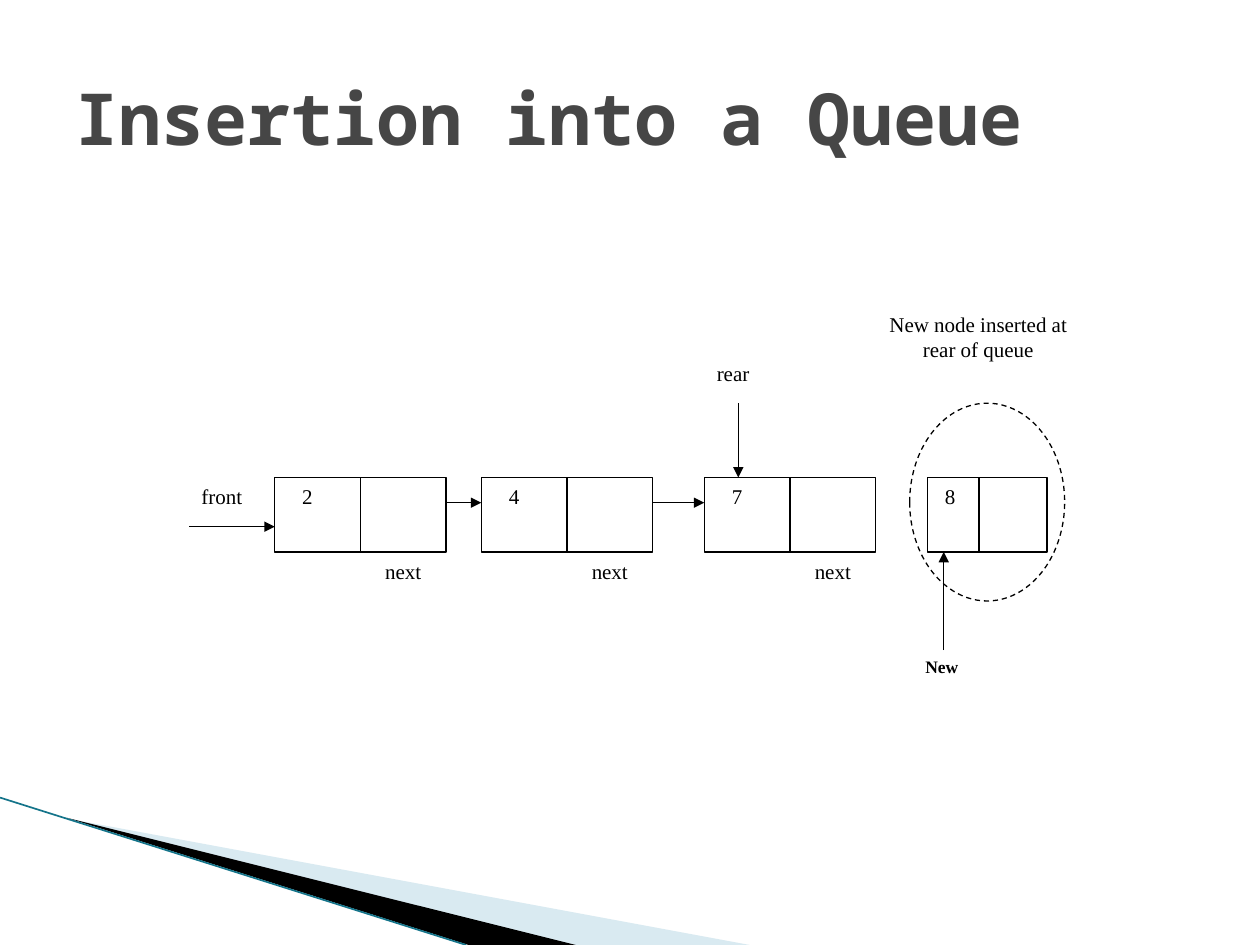
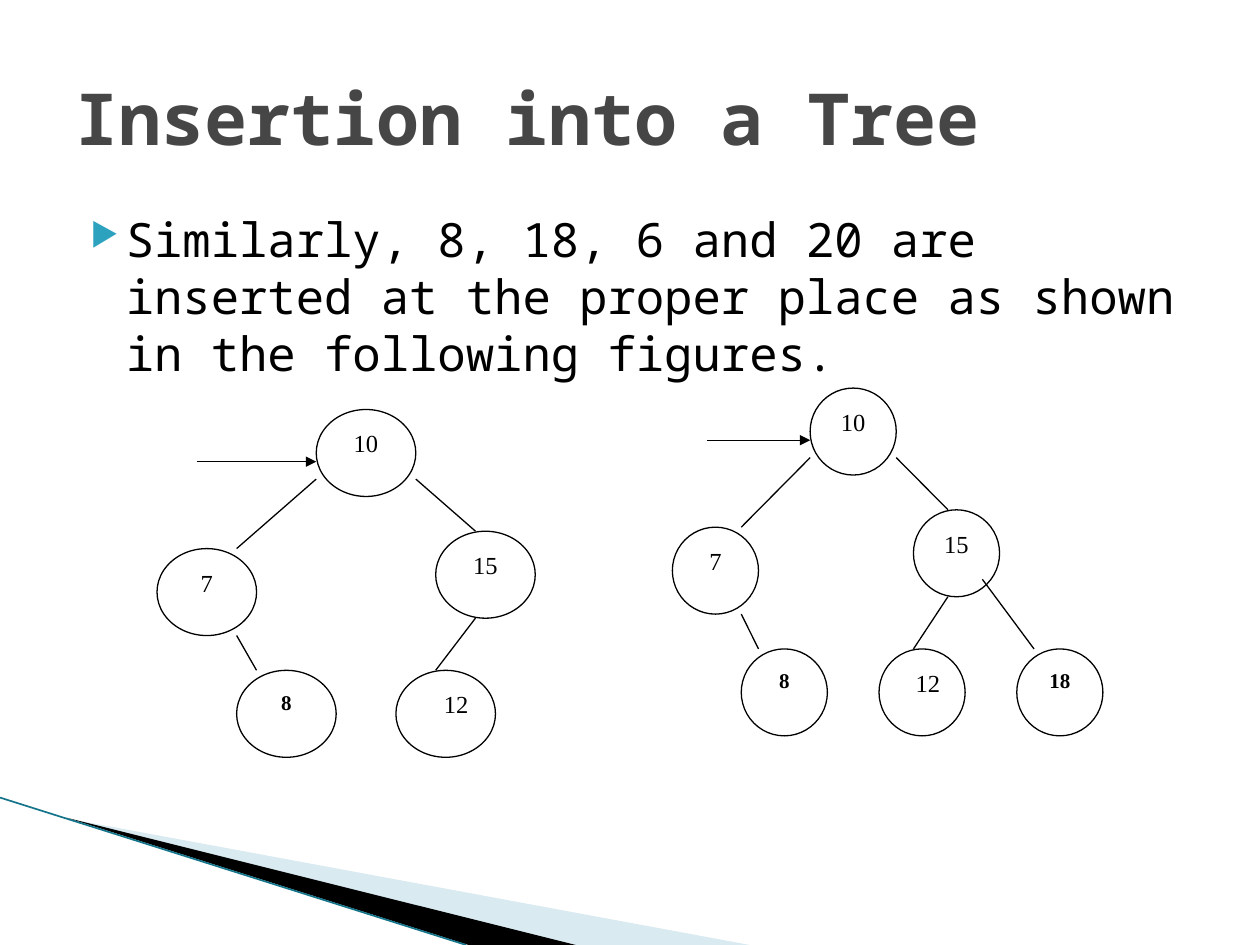
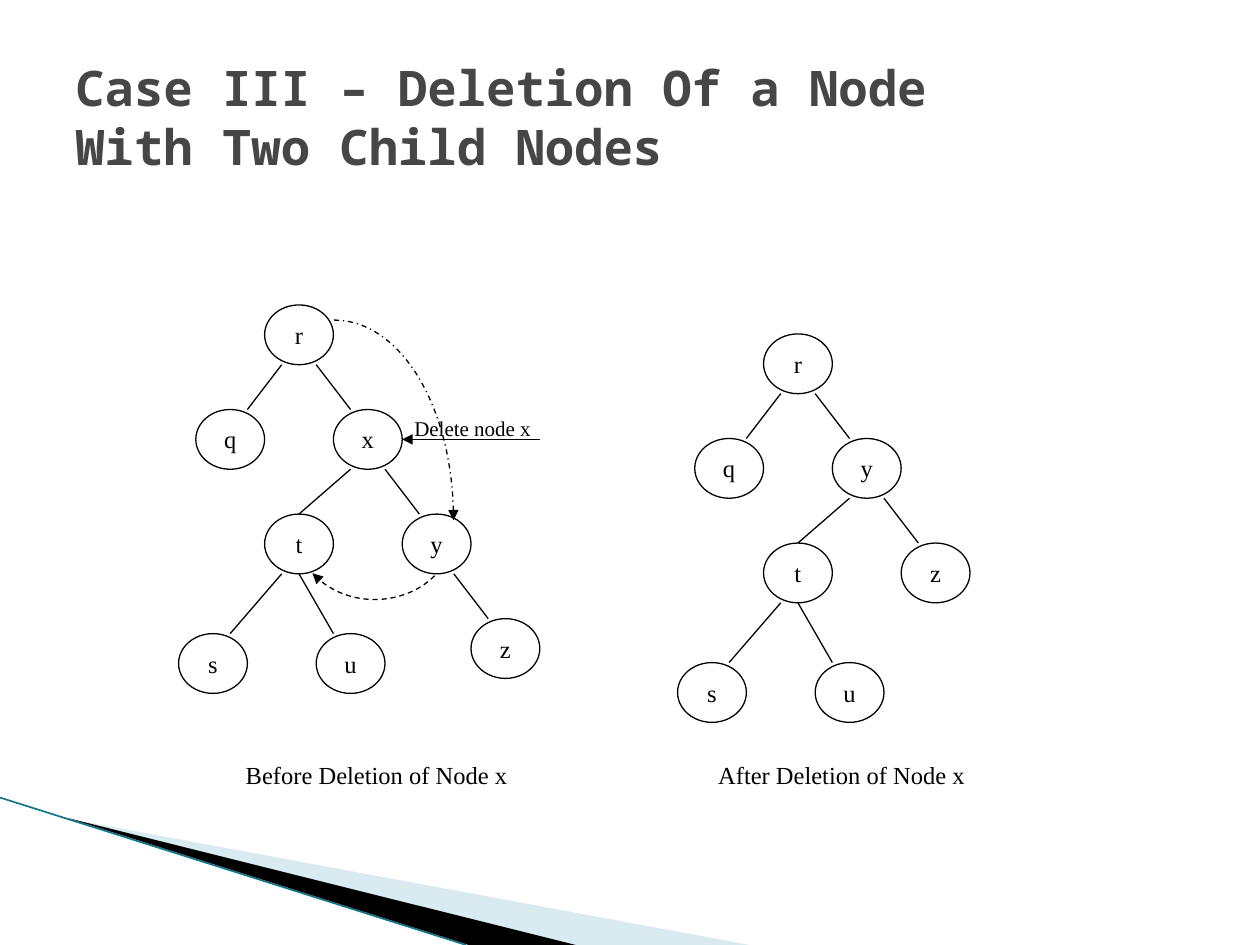
from dataclasses import dataclass
from typing import Optional

from lxml.etree import SubElement
from pptx import Presentation
from pptx.dml.color import RGBColor
from pptx.enum.dml import MSO_LINE
from pptx.enum.shapes import MSO_CONNECTOR, MSO_SHAPE
from pptx.enum.text import MSO_ANCHOR, PP_ALIGN
from pptx.oxml.ns import qn
from pptx.util import Inches, Pt

HEX = {"ink": "000000", "paper": "FFFFFF", "title": "464646",
       "bullet": "2DA2BF", "pale": "A0CBDC", "edge": "14748A"}
MONO, SERIF = "Noto Sans Mono", "Times New Roman"
LEFT, MID, RIGHT = PP_ALIGN.LEFT, PP_ALIGN.CENTER, PP_ALIGN.RIGHT
Point = tuple[float, float]


@dataclass
class Style:
    """Look of one piece of text."""
    size: float
    name: str = SERIF
    bold: bool = False
    color: str = "ink"
    align: PP_ALIGN = MID


@dataclass
class Grid:
    """Origin and step of a tree's grid; a node spans cell by cell steps."""
    x: float
    y: float
    dx: float
    dy: float
    cell: int

    def at(self, col: float, row: float) -> Point:
        """Turn grid steps into inches."""
        return self.x + col * self.dx, self.y + row * self.dy


@dataclass
class Node:
    """One round node, placed in grid steps."""
    text: str
    col: int
    row: int
    style: Style


@dataclass
class Link:
    """One line between two points."""
    start: Point
    end: Point
    arrow: bool = False


SMALL, BODY = Style(12), Style(14)
NOTE = Style(12, align=LEFT)
BOLD = Style(12, bold=True)


def rgb(key: str) -> RGBColor:
    """Look up a colour."""
    return RGBColor.from_string(HEX[key])


def write(shape, text: str, style: Style, anchor=MSO_ANCHOR.TOP):
    """Put styled text in a shape and return its paragraph."""
    frame = shape.text_frame
    for key, value in {"word_wrap": True, "vertical_anchor": anchor}.items():
        setattr(frame, key, value)
    para = frame.paragraphs[0]
    para.text, para.alignment = text, style.align
    for run in para.runs:
        form = {"size": Pt(style.size), "name": style.name, "bold": style.bold}
        for key, value in form.items():
            setattr(run.font, key, value)
        run.font.color.rgb = rgb(style.color)
    return para


def stroke(line, color: str = "ink", width: float = 0.75, dash=None) -> None:
    """Set the colour, width and dash of a line."""
    line.color.rgb = rgb(color)
    line.width = Pt(width)
    if dash:
        line.dash_style = dash


def point(line) -> None:
    """Add an arrowhead to the end of a line."""
    SubElement(line._get_or_add_ln(), qn("a:tailEnd"), type="triangle")


def join(slide, link: Link, color: str = "ink", width: float = 0.75) -> None:
    """Draw a straight line or arrow."""
    ends = [Inches(v) for v in link.start + link.end]
    wire = slide.shapes.add_connector(MSO_CONNECTOR.STRAIGHT, *ends)
    stroke(wire.line, color, width)
    if link.arrow:
        point(wire.line)
    SubElement(wire._element.spPr, qn("a:effectLst"))


def block(slide, kind, box: tuple, text: str = "",
          style: Style = SMALL, edge: bool = False, dash=None):
    """Draw a white shape and return its paragraph."""
    shape = slide.shapes.add_shape(kind, *map(Inches, box))
    shape.shadow.inherit = False
    shape.fill.solid()
    shape.fill.fore_color.rgb = rgb("paper")
    if edge:
        stroke(shape.line, dash=dash)
    else:
        shape.line.fill.background()
    return write(shape, text, style)


def label(slide, box: tuple, text: str, style: Style = SMALL) -> None:
    """Draw a caption without an outline."""
    block(slide, MSO_SHAPE.RECTANGLE, box, text, style)


def outline(slide, points: list[Point], close: bool):
    """Draw a freeform through points."""
    start, *rest = [(Inches(x), Inches(y)) for x, y in points]
    build = slide.shapes.build_freeform(*start)
    build.add_line_segments(rest, close=close)
    shape = build.convert_to_shape()
    shape.shadow.inherit = False
    return shape


def wedge(slide, points: list[Point], color: str,
          alpha: Optional[int] = None) -> None:
    """Draw one filled wedge of the corner band."""
    shape = outline(slide, points, True)
    shape.line.fill.background()
    shape.fill.solid()
    shape.fill.fore_color.rgb = rgb(color)
    if alpha:
        tint = shape._element.spPr.find(".//" + qn("a:srgbClr"))
        SubElement(tint, qn("a:alpha"), val=str(alpha * 1000))


def curve(slide, ends: list[Point], dash) -> None:
    """Draw a dashed curved arrow from four Bezier points."""
    steps = 32
    points = []
    for t in (i / steps for i in range(steps + 1)):
        parts = ((1 - t) ** 3, 3 * t * (1 - t) ** 2, 3 * t * t * (1 - t), t ** 3)
        points.append((sum(p * x for p, (x, _) in zip(parts, ends)),
                       sum(p * y for p, (_, y) in zip(parts, ends))))
    shape = outline(slide, points, False)
    shape.fill.background()
    stroke(shape.line, dash=dash)
    point(shape.line)


def tree(slide, grid: Grid, nodes: list[Node], links: list[Link]) -> None:
    """Draw the nodes of a tree, then its links."""
    size = (grid.cell * grid.dx, grid.cell * grid.dy)
    for node in nodes:
        box = grid.at(node.col, node.row) + size
        block(slide, MSO_SHAPE.OVAL, box, node.text, node.style, True)
    for link in links:
        join(slide, Link(grid.at(*link.start), grid.at(*link.end), link.arrow))


def page(deck, title: str, size: float = 41):
    """Add a slide with the corner band and a title."""
    slide = deck.slides.add_slide(deck.slide_layouts[6])
    wedge(slide, [(0.55, 6.5), (5.95, 7.5), (4.56, 7.5)], "pale", 40)
    wedge(slide, [(0.53, 6.49), (4.57, 7.5), (3.72, 7.5)], "ink")
    join(slide, Link((0, 6.33), (3.7, 7.5)), "edge", 0.95)
    box = slide.shapes.add_textbox(*map(Inches, (0.5, 0.3, 9, 1.25)))
    write(box, title, Style(size, MONO, True, "title", LEFT), MSO_ANCHOR.MIDDLE)
    return slide


def bullet(slide, box: tuple, text: str) -> None:
    """Add one body paragraph with a triangle bullet."""
    shape = slide.shapes.add_textbox(*map(Inches, box))
    para = write(shape, text, Style(27, MONO, align=LEFT))
    para.space_before = Pt(4)
    props = para._p.get_or_add_pPr()
    props.set("marL", str(Inches(0.4)))
    props.set("indent", str(Inches(-0.28)))
    tint = SubElement(props, qn("a:buClr"))
    SubElement(tint, qn("a:srgbClr"), val=HEX["bullet"])
    SubElement(props, qn("a:buSzPct"), val="68000")
    SubElement(props, qn("a:buChar"), char="\u25b6")


def cell(slide, x: float, wide: float, split: float, text: str,
         indent: float) -> None:
    """Draw a queue node with a value part and a link part."""
    para = block(slide, MSO_SHAPE.RECTANGLE, (x, TOP, wide, BASE - TOP), text,
                 NOTE, True)
    para._p.get_or_add_pPr().set("marL", str(Inches(indent)))
    join(slide, Link((x + split, TOP), (x + split, BASE)))


deck = Presentation()
deck.slide_width, deck.slide_height = Inches(10), Inches(7.5)

# Queue
TOP, BASE, WIDE, HALF = 3.79, 4.38, 1.36, 0.68
queue = page(deck, "Insertion into a Queue")
label(queue, (6.95, 2.42, 1.63, 0.98), "New node inserted at rear of queue")
block(queue, MSO_SHAPE.OVAL, (7.22, 3.2, 1.23, 1.57), edge=True,
      dash=MSO_LINE.DASH)
label(queue, (5.59, 2.81, HALF, 0.39), "rear", NOTE)
label(queue, (1.5, TOP, HALF, 0.39), "front", NOTE)
for x, text in ((2.18, "2"), (3.82, "4"), (5.59, "7")):
    label(queue, (x + HALF, BASE, HALF, 0.39), "next")
    cell(queue, x, WIDE, HALF, text, 0.12)
cell(queue, 7.36, 0.95, 0.41, "8", 0.04)
label(queue, (6.95, 5.16, 1.05, 0.59), "New", Style(10, bold=True))
for start, end in (((1.5, 4.18), (2.18, 4.18)), ((5.86, 3.2), (5.86, TOP)),
                   ((3.54, 3.99), (3.82, 3.99)), ((5.18, 3.99), (5.59, 3.99)),
                   ((7.49, 5.16), (7.49, BASE))):
    join(queue, Link(start, end, True))

# Tree insertion
grow = page(deck, "Insertion into a Tree")
bullet(grow, (0.5, 1.62, 9, 4.95), "Similarly, 8, 18, 6 and 20 are inserted "
       "at the proper place as shown in the following figures.")
nodes = [Node("10", 0, 0, BODY), Node("15", 6, 7, BODY),
         Node("12", 4, 15, Style(14, align=RIGHT)),
         Node("7", -8, 8, BODY), Node("8", -4, 15, BOLD)]
links = [Link((-6, 3), (0, 3), True), Link((5, 4), (8, 7)),
         Link((0, 4), (-4, 8)), Link((8, 12), (6, 15)),
         Link((-4, 13), (-3, 15))]
tree(grow, Grid(2.51, 3.25, 0.79 / 5, 0.69 / 5, 5), nodes, links)
tree(grow, Grid(6.43, 3.08, 0.41 / 3, 0.69 / 5, 5),
     nodes + [Node("18", 12, 15, BOLD)], links + [Link((10, 11), (13, 15))])

# Tree deletion
prune = page(deck, "Case III \u2013 Deletion Of a Node\vWith Two Child Nodes", 28)
label(prune, (3.19, 3.25, 1.37, 0.24), "Delete node x", NOTE)
shared = [Node(text, col, row, BODY) for text, col, row in
          (("r", 0, 0), ("q", -4, 7), ("t", 0, 14), ("s", -5, 22), ("u", 3, 22))]
links = [Link((1, 4), (-1, 7)), Link((3, 4), (5, 7)), Link((5, 11), (2, 14)),
         Link((7, 11), (9, 14)), Link((1, 18), (-2, 22)),
         Link((2, 18), (4, 22))]
before = [Node("x", 4, 7, BODY), Node("y", 8, 14, BODY), Node("z", 12, 21, BODY)]
after = [Node("y", 4, 7, BODY), Node("z", 8, 14, BODY)]
step = (3.14 / 23, 0.83 / 7, 4)
tree(prune, Grid(2.1, 2.42, *step), shared + before,
     links + [Link((11, 18), (13, 21)), Link((16, 9), (8, 9), True)])
tree(prune, Grid(6.06, 2.65, *step), shared + after, links)
curve(prune, [(2.65, 2.54), (3.18, 2.54), (3.6, 3.23), (3.6, 4.13)],
      MSO_LINE.DASH_DOT)
curve(prune, [(3.45, 4.57), (3.2, 4.82), (2.74, 4.83), (2.48, 4.55)],
      MSO_LINE.DASH)
for x, text in ((1.42, "Before"), (5.11, "After")):
    label(prune, (x, 5.98, 3.14, 0.36), f"{text} Deletion of Node x", BODY)

deck.save("out.pptx")
